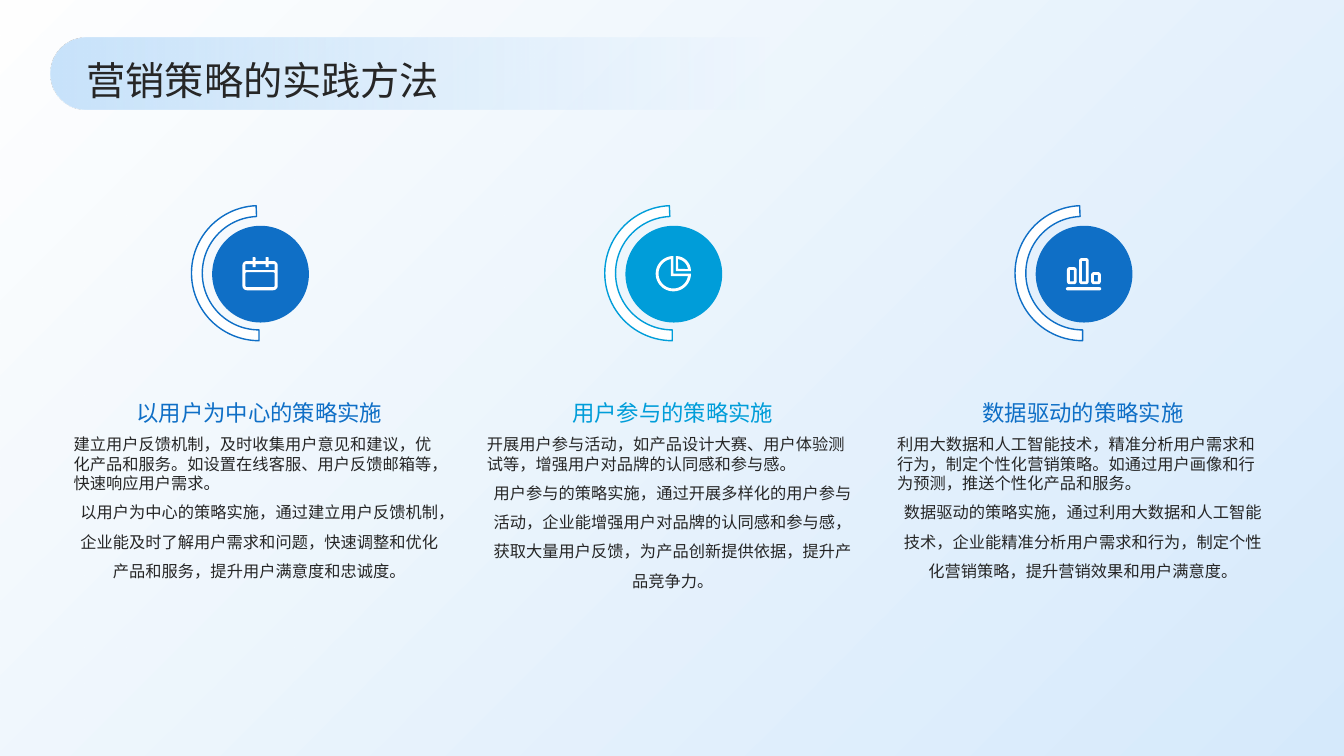
from dataclasses import dataclass
from math import cos, radians, sin

from pptx import Presentation
from pptx.dml.color import RGBColor
from pptx.enum.shapes import MSO_SHAPE
from pptx.enum.text import MSO_ANCHOR, PP_ALIGN
from pptx.oxml import parse_xml
from pptx.oxml.ns import nsdecls, qn
from pptx.util import Inches, Pt

RECTANGLE = MSO_SHAPE.RECTANGLE
PILL = MSO_SHAPE.ROUNDED_RECTANGLE
OVAL = MSO_SHAPE.OVAL
BLOCK_ARC = MSO_SHAPE.BLOCK_ARC
LEFT, CENTER = PP_ALIGN.LEFT, PP_ALIGN.CENTER
TOP, MIDDLE, BOTTOM = MSO_ANCHOR.TOP, MSO_ANCHOR.MIDDLE, MSO_ANCHOR.BOTTOM

COLUMNS, ROWS = 160, 90
CELL = Inches(1) / 12
ICON_UNIT = 0.12


@dataclass(frozen=True)
class Theme:
    font: str = "Noto Sans CJK SC"
    ink: str = "262626"
    white: str = "FFFFFF"
    pale: str = "C8E3FB"
    blue: str = "0F6FC6"
    cyan: str = "009DD9"
    title_size: float = 28
    heading_size: float = 16
    body_size: float = 11.6
    tight_line: float = 13.9
    open_line: float = 20.9


def arc(center_x, center_y, radius, start, end, step=6):
    count = max(1, round((end - start) / step))
    angles = [radians(start + (end - start) * i / count) for i in range(count + 1)]
    return [(center_x + radius * cos(a), center_y + radius * sin(a)) for a in angles]


def rounded_box(left, top, right, bottom, radius):
    corners = [
        (right - radius, bottom - radius), (left + radius, bottom - radius),
        (left + radius, top + radius), (right - radius, top + radius),
    ]
    return [
        point
        for i, (x, y) in enumerate(corners)
        for point in arc(x, y, radius, 90 * i, 90 * (i + 1), 15)
    ]


def calendar_icon():
    rings = (10, 23)
    window = [(3, 13), (3, 7)]
    for x in rings:
        window += [(x, 7), (x, 10), (x + 3, 10), (x + 3, 7)]
    window += [(32, 7), (32, 13)]
    pegs = [rounded_box(x, 0, x + 3, 4, 1) for x in rings]
    return [rounded_box(0, 4, 35, 33, 4.5), window, rounded_box(3, 15, 32, 30, 1.5), *pegs]


def pie_icon():
    return [
        arc(17.5, 17.5, 17.5, 0, 270) + [(17.5, 17.5)],
        arc(17.5, 17.5, 14.7, 10, 260) + [(15, 20)],
        arc(20, 15, 15, 270, 360) + [(20, 15)],
        arc(20, 15, 12.2, 280, 350) + [(22.2, 12.8)],
    ]


def bars_icon():
    contours = [rounded_box(0, 29, 35, 32, 1.5)]
    for left, top in ((1, 9), (13, 0), (25, 14)):
        contours.append(rounded_box(left, top, left + 9.6, 26, 2.8))
        contours.append(rounded_box(left + 2.8, top + 2.8, left + 6.8, 23.2, 0.4))
    return contours


class SlideBuilder:
    def __init__(self, presentation, theme):
        self.theme = theme
        self.slide = presentation.slides.add_slide(presentation.slide_layouts[6])

    def cells(self, *values):
        return [round(value * CELL) for value in values]

    def paint(self, shape, fill, line=None):
        shape.shadow.inherit = False
        shape.fill.solid()
        shape.fill.fore_color.rgb = RGBColor.from_string(fill)
        if line:
            shape.line.color.rgb = RGBColor.from_string(line)
            shape.line.width = Pt(1)
        else:
            shape.line.fill.background()

    def preset(self, kind, box, fill, line=None, adjustments=(), rotation=0):
        shape = self.slide.shapes.add_shape(kind, *self.cells(*box))
        for i, value in enumerate(adjustments):
            shape.adjustments[i] = value
        shape.rotation = rotation
        self.paint(shape, fill, line)
        return shape

    def gradient(self, shape, stops, direction):
        entries = "".join(
            f'<a:gs pos="{position * 1000}"><a:srgbClr val="{color}">'
            f'<a:alpha val="{opacity * 1000}"/></a:srgbClr></a:gs>'
            for position, color, opacity in stops
        )
        fill = parse_xml(
            f'<a:gradFill {nsdecls("a")} rotWithShape="1">'
            f"<a:gsLst>{entries}</a:gsLst>{direction}</a:gradFill>"
        )
        properties = shape.element.spPr
        properties.replace(properties.find(qn("a:solidFill")), fill)

    def icon(self, contours, left, top):
        outlines = [
            [tuple(self.cells(left + x * ICON_UNIT, top + y * ICON_UNIT)) for x, y in contour]
            for contour in contours
        ]
        builder = self.slide.shapes.build_freeform(*outlines[0][0])
        for i, outline in enumerate(outlines):
            if i:
                builder.move_to(*outline[0])
            builder.add_line_segments(outline[1:], close=True)
        self.paint(builder.convert_to_shape(), self.theme.white)

    def text_frame(self, box, anchor=TOP):
        frame = self.slide.shapes.add_textbox(*self.cells(*box)).text_frame
        frame.word_wrap = True
        frame.vertical_anchor = anchor
        frame.margin_left = frame.margin_right = frame.margin_top = frame.margin_bottom = 0
        return frame

    def set_text(self, paragraph, text, *, size, color, align=LEFT, spacing=1.0):
        paragraph.alignment = align
        paragraph.line_spacing = spacing
        run = paragraph.add_run()
        run.text = text
        run.font.size = Pt(size)
        run.font.color.rgb = RGBColor.from_string(color)
        run.font.name = self.theme.font
        east_asian = parse_xml(f'<a:ea {nsdecls("a")} typeface="{self.theme.font}"/>')
        run.font._element.append(east_asian)

    def backdrop(self):
        theme = self.theme
        shape = self.preset(RECTANGLE, (0, 0, COLUMNS, ROWS), theme.white)
        self.gradient(
            shape, [(0, theme.white, 75), (100, theme.pale, 74)],
            '<a:path path="circle"><a:fillToRect r="100000" b="100000"/></a:path>',
        )

    def title(self, text):
        theme = self.theme
        band = self.preset(PILL, (6, 4.44, 107.28, 8.64), theme.pale, adjustments=[0.5])
        self.gradient(
            band, [(0, theme.pale, 100), (80, theme.pale, 0)], '<a:lin ang="0" scaled="0"/>'
        )
        frame = self.text_frame((10.32, 6.12, 140, 6.12), MIDDLE)
        self.set_text(
            frame.paragraphs[0], text, size=theme.title_size, color=theme.ink, spacing=1.1
        )

    def strategy(self, left, color, icon, icon_top, heading, practice, effect):
        theme = self.theme
        self.preset(OVAL, (left + 16.5, 26.88, 11.52, 11.52), color)
        self.preset(
            BLOCK_ARC, (left + 14.04, 24.48, 16.08, 16.08), theme.white, color,
            adjustments=[108, 214.51, 0.08], rotation=270,
        )
        self.icon(icon, left + 20.1, icon_top)
        frame = self.text_frame((left, 41.52, 44.28, 9.24), BOTTOM)
        self.set_text(
            frame.paragraphs[0], heading, size=theme.heading_size, color=color,
            align=CENTER, spacing=1.3,
        )
        body = self.text_frame((left, 51.72, 44.28, 17.88))
        style = {"size": theme.body_size, "color": theme.ink}
        self.set_text(body.paragraphs[0], practice, spacing=Pt(theme.tight_line), **style)
        self.set_text(
            body.add_paragraph(), effect, align=CENTER, spacing=Pt(theme.open_line), **style
        )


def main():
    presentation = Presentation()
    presentation.slide_width = round(COLUMNS * CELL)
    presentation.slide_height = round(ROWS * CELL)
    theme = Theme()
    builder = SlideBuilder(presentation, theme)
    builder.backdrop()
    builder.title("营销策略的实践方法")
    strategies = [
        (8.76, theme.blue, calendar_icon(), 30.6, "以用户为中心的策略实施",
         "建立用户反馈机制，及时收集用户意见和建议，优化产品和服务。如设置在线客服、用户反馈邮箱等，快速响应用户需求。",
         "以用户为中心的策略实施，通过建立用户反馈机制，企业能及时了解用户需求和问题，快速调整和优化产品和服务，提升用户满意度和忠诚度。"),
        (57.96, theme.cyan, pie_icon(), 30.48, "用户参与的策略实施",
         "开展用户参与活动，如产品设计大赛、用户体验测试等，增强用户对品牌的认同感和参与感。",
         "用户参与的策略实施，通过开展多样化的用户参与活动，企业能增强用户对品牌的认同感和参与感，获取大量用户反馈，为产品创新提供依据，提升产品竞争力。"),
        (106.8, theme.blue, bars_icon(), 30.72, "数据驱动的策略实施",
         "利用大数据和人工智能技术，精准分析用户需求和行为，制定个性化营销策略。如通过用户画像和行为预测，推送个性化产品和服务。",
         "数据驱动的策略实施，通过利用大数据和人工智能技术，企业能精准分析用户需求和行为，制定个性化营销策略，提升营销效果和用户满意度。"),
    ]
    for strategy in strategies:
        builder.strategy(*strategy)
    presentation.save("out.pptx")


if __name__ == "__main__":
    main()
